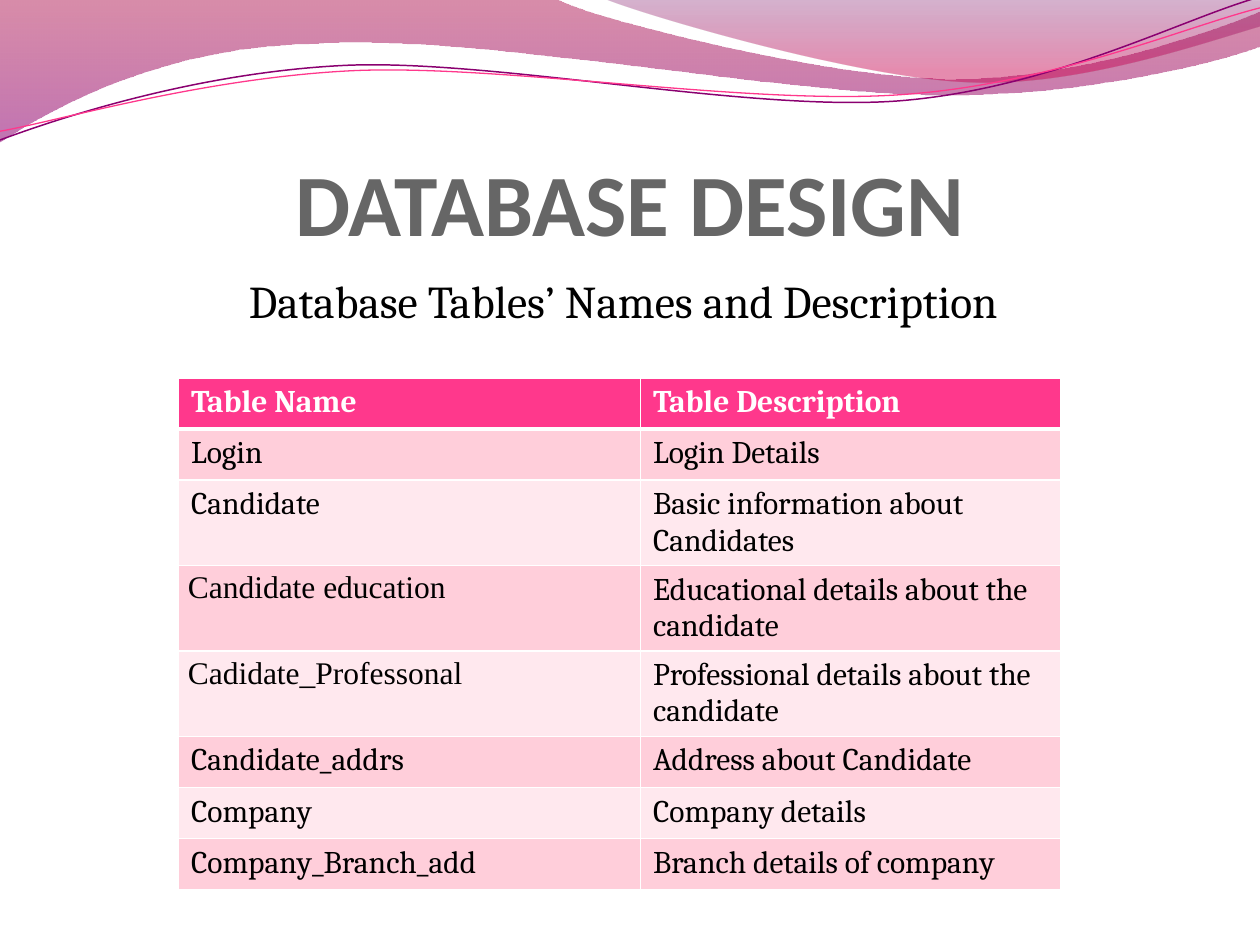
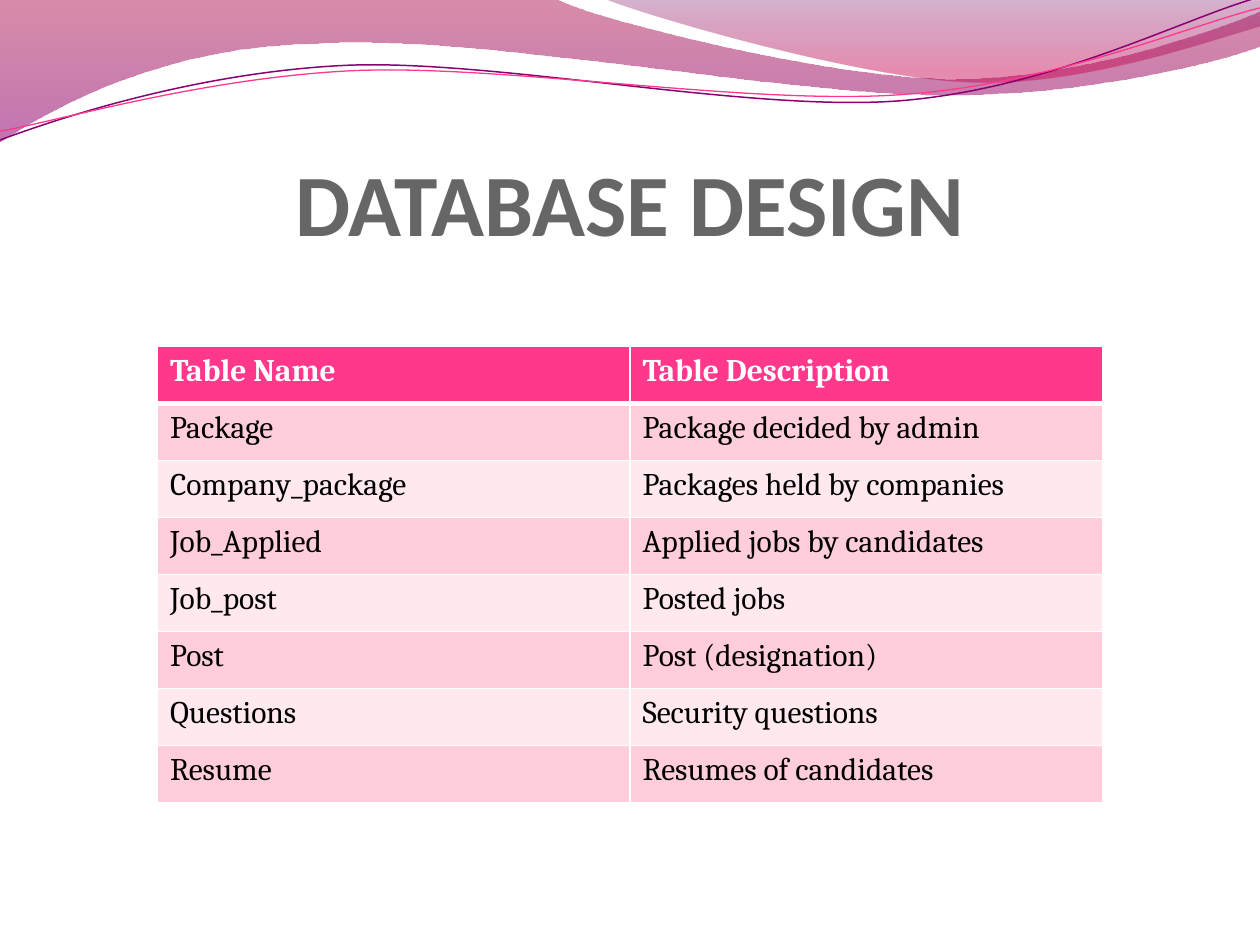
from lxml import etree
from pptx import Presentation
from pptx.dml.color import RGBColor
from pptx.enum.text import MSO_ANCHOR, PP_ALIGN
from pptx.oxml.ns import qn
from pptx.util import Pt

BOTTOM = MSO_ANCHOR.BOTTOM
CENTER = PP_ALIGN.CENTER
TITLE_AND_CONTENT = 1
TITLE_ONLY = 5

COLORS = {
    "title": "666666",
    "text": "000000",
    "white": "FFFFFF",
    "pink": "FF388C",
    "band_dark": "FFCEDA",
    "band_light": "FFE8EE",
    "crimson": "A90042",
    "purple": "8E0073",
    "plum": "73005E",
    "magenta": "C9004F",
    "violet": "8A0070",
}

LEFT_WAVE = [
    (0, 0), (317, -1),
    (343, 12, 478, 45, 546, 45), (614, 45, 690, 19, 720, 6.5), (721, 26),
    (708, 32, 626, 55, 537, 54), (448, 54, 275, 20, 185, 24.5),
    (93, 26, 33, 60, -1, 81.5),
]
RIGHT_WAVE = [
    (345, -1), (366, 8, 491, 45, 554, 47), (616, 50, 692, 23, 720, 15), (720, 0),
]
VIOLET_LINE = [
    (0, 80), (35, 67, 114, 41, 199, 37.3), (284, 34, 427, 64, 513, 57.7),
    (600, 51, 675, 11, 719, -1.5),
]
PINK_LINE = [
    (0, 75), (34, 69, 118, 44, 204, 40.3), (290, 37, 430, 60.5, 516, 54),
    (602, 48, 678, 15, 720, 4.5),
]

HEADINGS = ("Table Name", "Table Description")
ACCOUNT_TABLES = [
    HEADINGS,
    ("Login", "Login Details"),
    ("Candidate", "Basic information about Candidates"),
    ("Candidate education", "Educational details about the candidate"),
    ("Cadidate_Professonal", "Professional details about the candidate"),
    ("Candidate_addrs", "Address about Candidate"),
    ("Company", "Company details"),
    ("Company_Branch_add", "Branch details of company"),
]
JOB_TABLES = [
    HEADINGS,
    ("Package", "Package decided by admin"),
    ("Company_package", "Packages held by companies"),
    ("Job_Applied", "Applied jobs by candidates"),
    ("Job_post", "Posted jobs"),
    ("Post", "Post (designation)"),
    ("Questions", "Security questions"),
    ("Resume", "Resumes of candidates"),
]
TIMES_CELLS = ("Candidate education", "Cadidate_Professonal")


def rgb(name):
    return RGBColor.from_string(COLORS[name])


def place(shape, left, top, width, height):
    shape.left, shape.top = Pt(left), Pt(top)
    shape.width, shape.height = Pt(width), Pt(height)


def format_runs(paragraph, size, font_name, color, bold=False):
    for run in paragraph.runs:
        run.font.size = Pt(size)
        run.font.name = font_name
        run.font.bold = bold
        run.font.color.rgb = rgb(color)


def bend_segments(shape, segments):
    lines = iter(list(shape.element.iter(qn("a:lnTo"))))
    for segment in segments[1:]:
        line = next(lines)
        if len(segment) == 6:
            curve = etree.Element(qn("a:cubicBezTo"))
            line.addprevious(curve)
            for control in (line, next(lines), next(lines)):
                curve.append(control[0])
                control.getparent().remove(control)


def add_curve(slide, segments, closed):
    points = [
        (Pt(segment[index]), Pt(segment[index + 1]))
        for segment in segments for index in range(0, len(segment), 2)
    ]
    builder = slide.shapes.build_freeform(*points[0])
    builder.add_line_segments(points[1:], close=closed)
    shape = builder.convert_to_shape()
    bend_segments(shape, segments)
    shape.shadow.inherit = False
    return shape


def add_wave(slide, segments, stops):
    shape = add_curve(slide, segments, closed=True)
    shape.line.fill.background()
    shape.fill.gradient()
    shape.fill.gradient_angle = 270
    for stop, (position, color, _) in zip(shape.fill.gradient_stops, stops):
        stop.position = position
        stop.color.rgb = rgb(color)
    elements = shape.element.iter(qn("a:gs"))
    for element, (_, _, opacity) in zip(elements, stops):
        etree.SubElement(element[0], qn("a:alpha"), val=str(opacity * 1000))
    return shape


def add_wave_line(slide, segments, color, width):
    shape = add_curve(slide, segments, closed=False)
    shape.fill.background()
    shape.line.color.rgb = rgb(color)
    shape.line.width = Pt(width)
    return shape


def add_master_waves(presentation, slide):
    waves = [
        add_wave(slide, LEFT_WAVE, [(0, "crimson", 45), (1, "purple", 55)]),
        add_wave(slide, RIGHT_WAVE, [(0, "plum", 30), (0.8, "magenta", 45)]),
        add_wave_line(slide, VIOLET_LINE, "violet", 0.85),
        add_wave_line(slide, PINK_LINE, "pink", 0.75),
    ]
    master_tree = presentation.slide_master.shapes.element
    for index, wave in enumerate(waves):
        wave.element.nvSpPr.cNvPr.set("id", str(20 + index))
        master_tree.insert(2 + index, wave.element)


def add_slide(presentation, layout_index):
    slide = presentation.slides.add_slide(presentation.slide_layouts[layout_index])
    title = slide.shapes.title
    place(title, 36, 55, 648, 90)
    frame = title.text_frame
    frame.text = "DATABASE DESIGN"
    frame.vertical_anchor = BOTTOM
    frame.margin_left = frame.margin_right = frame.margin_bottom = 0
    frame.margin_top = Pt(3.6)
    paragraph = frame.paragraphs[0]
    paragraph.alignment = CENTER
    format_runs(paragraph, 50, "Calibri", "title", bold=True)
    return slide


def fill_subtitle(slide, text):
    body = slide.placeholders[1]
    place(body, 36, 152.5, 648, 345.5)
    body.text_frame.text = text
    paragraph = body.text_frame.paragraphs[0]
    paragraph.space_before = Pt(5.2)
    format_runs(paragraph, 26, "Cambria", "text")
    properties = paragraph._p.get_or_add_pPr()
    properties.set("marL", str(Pt(99)))
    properties.set("indent", "0")
    etree.SubElement(properties, qn("a:buNone"))


def set_borders(cell, top, bottom):
    properties = cell._tc.get_or_add_tcPr()
    for tag, width in (("lnL", 1), ("lnR", 1), ("lnT", top), ("lnB", bottom)):
        line = etree.SubElement(properties, qn("a:" + tag), w=str(Pt(width)))
        fill = etree.SubElement(line, qn("a:solidFill"))
        etree.SubElement(fill, qn("a:srgbClr"), val=COLORS["white"])


def format_cell(cell, row_index):
    is_header = row_index == 0
    set_borders(cell, 3 if row_index == 1 else 1, 3 if is_header else 1)
    band = "band_dark" if row_index % 2 else "band_light"
    cell.fill.solid()
    cell.fill.fore_color.rgb = rgb("pink" if is_header else band)
    paragraph = cell.text_frame.paragraphs[0]
    font_name = "Cambria"
    if cell.text_frame.text in TIMES_CELLS:
        font_name = "Times New Roman"
        cell.margin_left = cell.margin_right = Pt(5.4)
        cell.margin_top = cell.margin_bottom = 0
        paragraph.line_spacing = 1.15
        paragraph.space_after = Pt(10)
    format_runs(paragraph, 18, font_name, "white" if is_header else "text", is_header)


def add_name_table(slide, rows, left, top, column_widths, row_height):
    frame = slide.shapes.add_table(
        len(rows), len(column_widths), Pt(left), Pt(top),
        Pt(sum(column_widths)), Pt(row_height * len(rows)),
    )
    table = frame.table
    for column, width in zip(table.columns, column_widths):
        column.width = Pt(width)
    for row_index, texts in enumerate(rows):
        table.rows[row_index].height = Pt(row_height)
        for column_index, text in enumerate(texts):
            cell = table.cell(row_index, column_index)
            cell.text_frame.text = text
            format_cell(cell, row_index)


def main():
    presentation = Presentation()
    presentation.slide_width = Pt(720)
    presentation.slide_height = Pt(540)

    slide = add_slide(presentation, TITLE_AND_CONTENT)
    add_master_waves(presentation, slide)
    fill_subtitle(slide, "Database Tables’ Names and Description")
    add_name_table(slide, ACCOUNT_TABLES, 102, 216, (264, 240), 29.2)

    slide = add_slide(presentation, TITLE_ONLY)
    add_name_table(slide, JOB_TABLES, 90, 198, (270, 270), 32.58)

    presentation.save("out.pptx")


if __name__ == "__main__":
    main()
